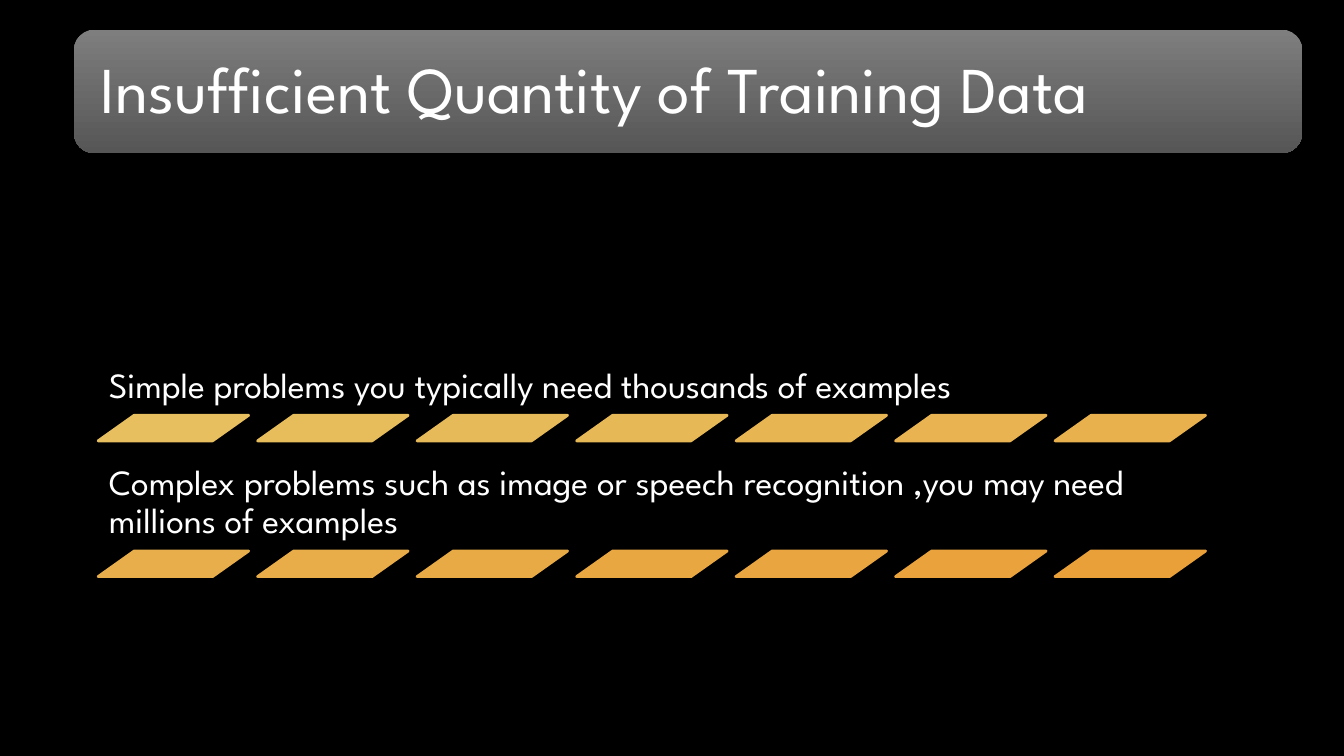
from dataclasses import dataclass

from pptx import Presentation
from pptx.dml.color import RGBColor
from pptx.enum.shapes import MSO_SHAPE
from pptx.enum.text import MSO_ANCHOR
from pptx.util import Inches, Pt

ROUNDED = MSO_SHAPE.ROUNDED_RECTANGLE
SLANTED = MSO_SHAPE.PARALLELOGRAM
MIDDLE, BOTTOM = MSO_ANCHOR.MIDDLE, MSO_ANCHOR.BOTTOM

PAGE_WIDTH = 10
PAGE_HEIGHT = PAGE_WIDTH * 9 / 16
FONT = "League Spartan"
WHITE, BLACK = "FFFFFF", "000000"
BANNER_TOP, BANNER_BOTTOM = "7E7E7E", "565656"
FIRST_DASH, LAST_DASH = "E7BF5F", "E9A039"

# Grid of the dashes under each statement
LEFT, LAST_LEFT = 0.73, 7.85
DASHES = 7
DASH_PITCH = (LAST_LEFT - LEFT) / (DASHES - 1)
DASH_WIDTH, DASH_HEIGHT = 1.12, 0.19
DASH_SLANT = 1.41
FIRST_ROW, ROW_PITCH = 3.09, 1.01
STATEMENT_WIDTH, STATEMENT_HEIGHT = 8.42, 0.77
STATEMENT_OVERLAP = 0.01


@dataclass(frozen=True)
class Area:
    left: float
    top: float
    width: float
    height: float

    def lengths(self) -> list:
        return [Inches(n) for n in (self.left, self.top, self.width, self.height)]


STATEMENTS = (
    "Simple problems you typically need thousands of examples",
    "Complex problems such as image or speech recognition ,you may need millions of examples",
)


def color(value: str) -> RGBColor:
    return RGBColor.from_string(value)


def blend(start: str, end: str, share: float) -> str:
    pairs = zip(color(start), color(end))
    return "".join(f"{round(a + (b - a) * share):02X}" for a, b in pairs)


def add_text(page, area: Area, text: str, size: float, inset: float, anchor) -> None:
    box = page.shapes.add_textbox(*area.lengths())
    frame = box.text_frame
    frame.word_wrap = True
    frame.vertical_anchor = anchor
    frame.margin_left = frame.margin_right = Inches(inset)
    frame.margin_top = frame.margin_bottom = Inches(inset)
    frame.text = text
    para = frame.paragraphs[0]
    para.line_spacing = 0.9
    span = para.runs[0]
    span.font.name = FONT
    span.font.size = Pt(size)
    span.font.color.rgb = color(WHITE)


def add_banner(page, area: Area) -> None:
    banner = page.shapes.add_shape(ROUNDED, *area.lengths())
    banner.shadow.inherit = False
    banner.line.fill.background()
    banner.fill.gradient()
    banner.fill.gradient_angle = 270
    for stop, position, shade in zip(
        banner.fill.gradient_stops, (0, 1), (BANNER_TOP, BANNER_BOTTOM)
    ):
        stop.position = position
        stop.color.rgb = color(shade)


def add_dash(page, area: Area, shade: str) -> None:
    dash = page.shapes.add_shape(SLANTED, *area.lengths())
    dash.shadow.inherit = False
    dash.adjustments[0] = DASH_SLANT
    dash.fill.solid()
    dash.fill.fore_color.rgb = color(shade)
    dash.line.color.rgb = color(shade)
    dash.line.width = Pt(1.5)


def add_statement(page, row: int, text: str) -> None:
    top = FIRST_ROW + row * ROW_PITCH
    text_top = top + STATEMENT_OVERLAP - STATEMENT_HEIGHT
    area = Area(LEFT, text_top, STATEMENT_WIDTH, STATEMENT_HEIGHT)
    add_text(page, area, text, 19, 0.08, BOTTOM)
    # The colour runs on evenly from one row to the next
    last = len(STATEMENTS) * DASHES - 1
    for column in range(DASHES):
        shade = blend(FIRST_DASH, LAST_DASH, (row * DASHES + column) / last)
        left = LEFT + column * DASH_PITCH
        add_dash(page, Area(left, top, DASH_WIDTH, DASH_HEIGHT), shade)


def main() -> None:
    deck = Presentation()
    deck.slide_width, deck.slide_height = Inches(PAGE_WIDTH), Inches(PAGE_HEIGHT)
    page = deck.slides.add_slide(deck.slide_layouts[6])
    page.background.fill.solid()
    page.background.fill.fore_color.rgb = color(BLACK)

    # Title banner
    add_banner(page, Area(0.55, 0.22, 9.14, 0.92))
    title = "Insufficient Quantity of Training Data"
    add_text(page, Area(0.6, 0.27, 9.05, 0.83), title, 35, 0.15, MIDDLE)

    # Statements, each underlined by a row of dashes
    for row, text in enumerate(STATEMENTS):
        add_statement(page, row, text)

    deck.save("out.pptx")


if __name__ == "__main__":
    main()
